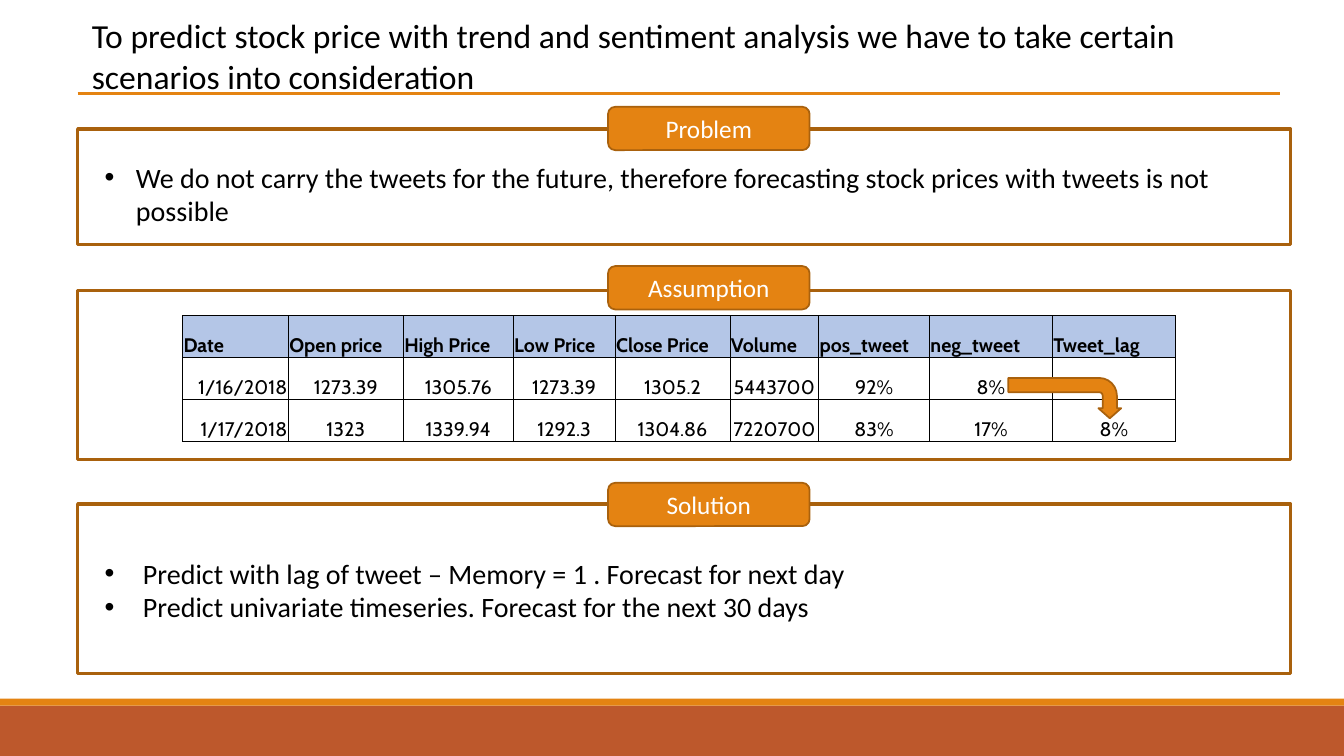
import pptx
import pptx.util
import pptx.dml.color
import pptx.enum.shapes
import pptx.enum.text
import pptx.oxml
import pptx.oxml.ns

Pt = pptx.util.Pt
Form = pptx.enum.shapes.MSO_SHAPE
Align = pptx.enum.text.PP_ALIGN
Anchor = pptx.enum.text.MSO_ANCHOR
Fit = pptx.enum.text.MSO_AUTO_SIZE

deck = pptx.Presentation()
deck.slide_width = pptx.util.Inches(13.33)
deck.slide_height = pptx.util.Inches(7.5)
col = deck.slide_width / 100
row = deck.slide_height / 100
slide = deck.slides.add_slide(deck.slide_layouts[5])
shapes = slide.shapes


def paint(kind, place, fill, edge=None, width=0):
    x, y, w, h = place
    shape = shapes.add_shape(kind, int(x * col), int(y * row), int(w * col), int(h * row))
    shape.shadow.inherit = False
    shape.fill.solid()
    shape.fill.fore_color.rgb = pptx.dml.color.RGBColor.from_string(fill)
    if edge:
        shape.line.color.rgb = pptx.dml.color.RGBColor.from_string(edge)
        shape.line.width = Pt(width)
    else:
        shape.line.fill.background()
    return shape


def write(para, text, size, face="Calibri", tint="000000", bold=False, align=Align.LEFT):
    para.alignment = align
    run = para.add_run()
    run.text = text
    for key, val in {"size": Pt(size), "name": face, "bold": bold}.items():
        setattr(run.font, key, val)
    run.font.color.rgb = pptx.dml.color.RGBColor.from_string(tint)


orange, brown = "E48312", "A9610D"

paint(Form.RECTANGLE, (0, 93.33, 100, 6.67), "BD582C")
paint(Form.RECTANGLE, (0, 92.4, 100, 0.93), orange)

rule = shapes.add_connector(
    pptx.enum.shapes.MSO_CONNECTOR.STRAIGHT,
    int(5.78 * col), int(12.4 * row), int(95.27 * col), int(12.4 * row))
rule.line.color.rgb = pptx.dml.color.RGBColor.from_string(orange)
rule.line.width = Pt(2.25)
rule._element.spPr.append(pptx.oxml.parse_xml(
    f'<a:effectLst {pptx.oxml.ns.nsdecls("a")}/>'))

title = shapes.title
spot = {"left": 6.08 * col, "top": 1.33 * row, "width": 88.07 * col, "height": 12.13 * row}
for key, val in spot.items():
    setattr(title, key, int(val))
frame = title.text_frame
for key, val in {"word_wrap": True, "auto_size": Fit.NONE, "vertical_anchor": Anchor.TOP}.items():
    setattr(frame, key, val)
write(frame.paragraphs[0],
      "To predict stock price with trend and sentiment analysis "
      "we have to take certain scenarios into consideration", 24)

panels = [
    ("Problem", 17.07, 15.33, 14.13),
    ("Assumption", 38.4, 22.4, 35.2),
    ("Solution", 66.67, 22.4, 63.87),
]
for name, top, high, tab in panels:
    paint(Form.RECTANGLE, (5.78, top, 90.25, high), "FFFFFF", brown, 2.25)
    badge = paint(Form.ROUNDED_RECTANGLE, (45.24, tab, 15, 5.73), orange, brown, 1.25)
    badge.text_frame.vertical_anchor = Anchor.MIDDLE
    write(badge.text_frame.paragraphs[0], name, 18, tint="FFFFFF", align=Align.CENTER)

lists = [
    (20.53, 0.31, ["We do not carry the tweets for the future, therefore "
                   "forecasting stock prices with tweets is not possible"]),
    (72.93, 0.38, ["Predict with lag of tweet – Memory = 1 . Forecast for next day",
                   "Predict univariate timeseries. Forecast for the next 30 days"]),
]
for top, dent, lines in lists:
    box = shapes.add_textbox(int(7.05 * col), int(top * row), int(87.62 * col), int(10.27 * row))
    frame = box.text_frame
    frame.word_wrap = True
    for spot, text in enumerate(lines):
        para = frame.add_paragraph() if spot else frame.paragraphs[0]
        write(para, text, 20)
        props = para._p.get_or_add_pPr()
        props.set("marL", str(pptx.util.Inches(dent)))
        props.set("indent", str(-pptx.util.Inches(dent)))
        for mark in ('<a:buFont {} typeface="Arial"/>', '<a:buChar {} char="•"/>'):
            props.append(pptx.oxml.parse_xml(mark.format(pptx.oxml.ns.nsdecls("a"))))

data = [
    ["Date", "Open price", "High Price", "Low Price", "Close Price",
     "Volume", "pos_tweet", "neg_tweet", "Tweet_lag"],
    ["1/16/2018", "1273.39", "1305.76", "1273.39", "1305.2", "5443700", "92%", "8%", ""],
    ["1/17/2018", "1323", "1339.94", "1292.3", "1304.86", "7220700", "83%", "17%", "8%"],
]
spans = [7.88, 8.55, 8.18, 7.58, 8.55, 6.6, 8.25, 9.15, 9.15]
table = shapes.add_table(
    len(data), len(spans), int(13.58 * col), int(41.73 * row),
    int(sum(spans) * col), int(16.67 * row)).table
table.first_row = table.horz_banding = False
for slot, span in zip(table.columns, spans):
    slot.width = int(span * col)

pad = pptx.util.Inches(0.01)
look = {"vertical_anchor": Anchor.BOTTOM, "margin_left": pad, "margin_right": pad,
        "margin_top": pad, "margin_bottom": 0}
for down, line in enumerate(data):
    for over, text in enumerate(line):
        cell = table.cell(down, over)
        for key, val in look.items():
            setattr(cell, key, val)
        for side in "LRTB":
            cell._tc.get_or_add_tcPr().append(pptx.oxml.parse_xml(
                f'<a:ln{side} {pptx.oxml.ns.nsdecls("a")} w="{Pt(0.5)}"><a:solidFill>'
                f'<a:srgbClr val="000000"/></a:solidFill></a:ln{side}>'))
        if down:
            cell.fill.background()
            align = Align.CENTER if over else Align.RIGHT
        else:
            cell.fill.solid()
            cell.fill.fore_color.rgb = pptx.dml.color.RGBColor.from_string("B4C6E7")
            align = Align.LEFT
        write(cell.text_frame.paragraphs[0], text, 14, "Cabin", bold=not down, align=align)

arrow = paint(Form.BENT_ARROW, (77.72, 45.2, 3, 14.93), orange, brown, 1.25)
arrow.rotation = 90
for spot, val in enumerate([0.353, 0.283, 0.25, 0.438]):
    arrow.adjustments[spot] = val

deck.save("out.pptx")
